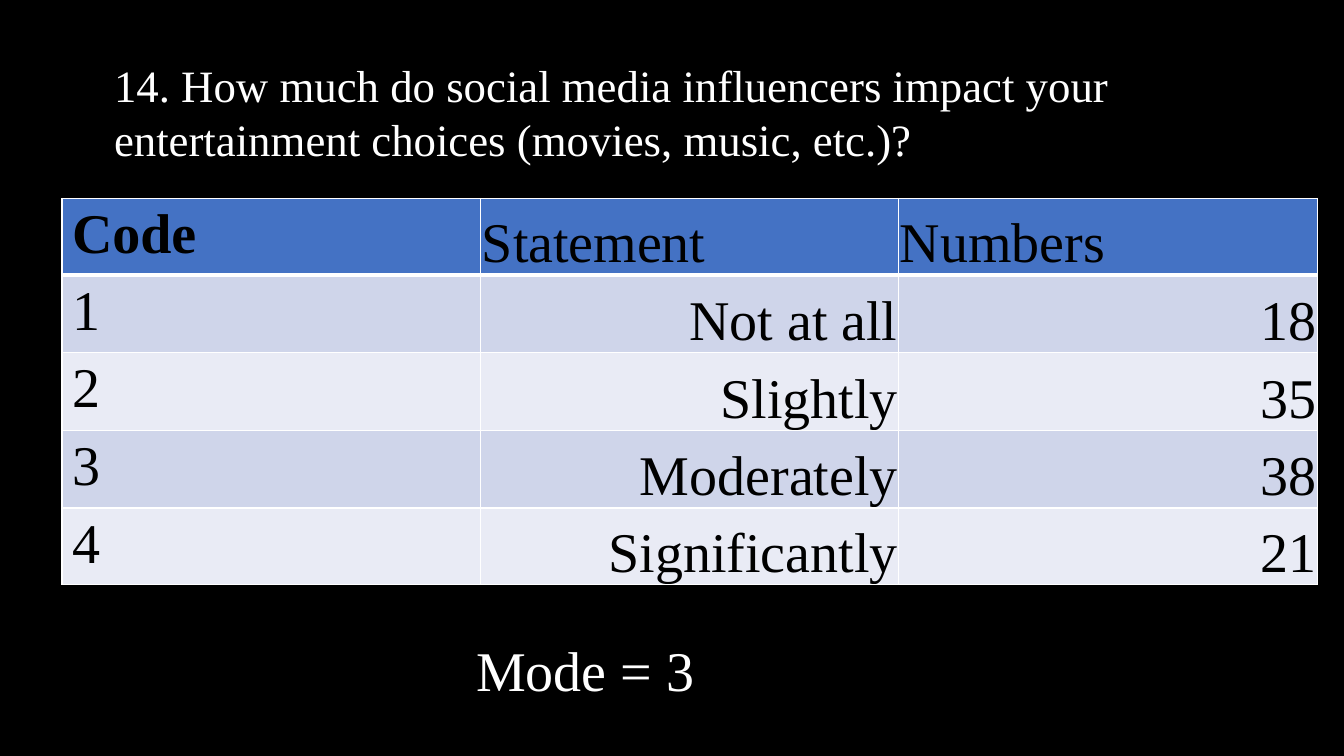
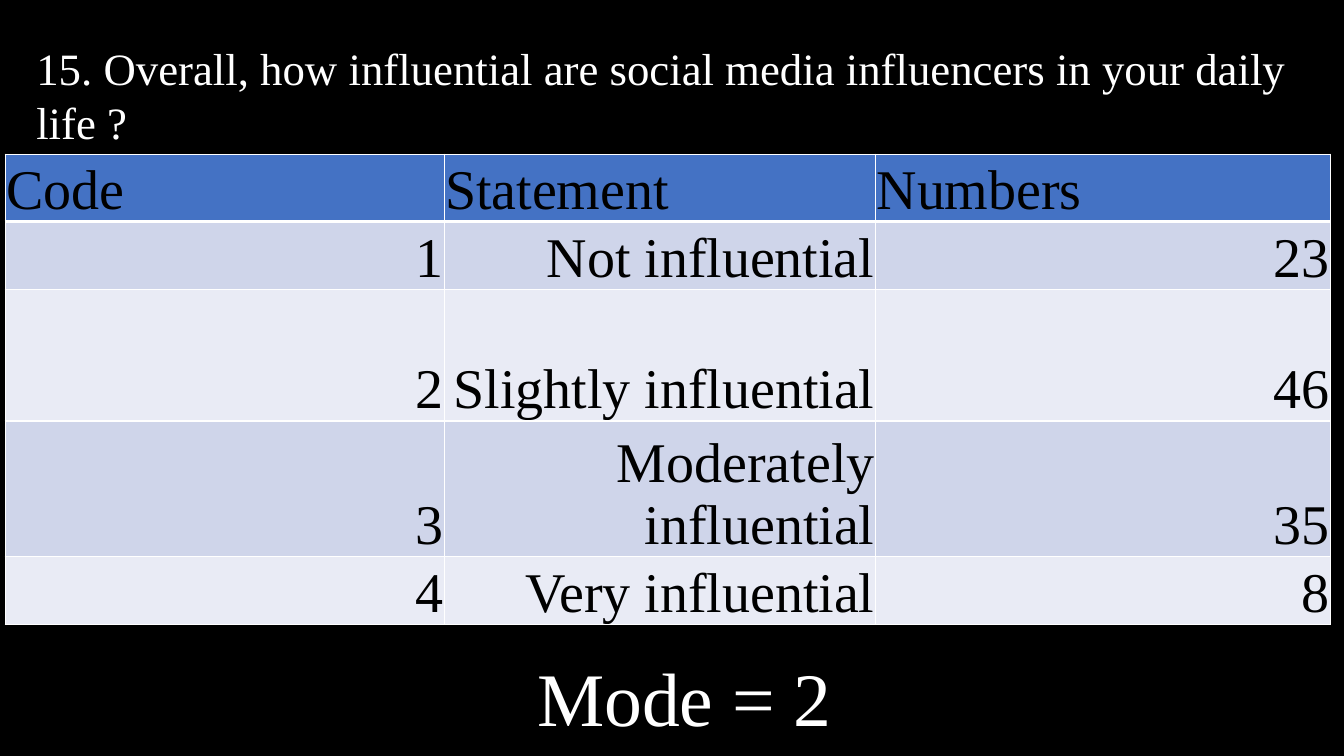
from collections import namedtuple
from dataclasses import dataclass

from lxml import etree
from pptx import Presentation
from pptx import util as u
from pptx.dml import color
from pptx.enum import text
from pptx.oxml import ns

PX = 9525
Box = namedtuple("Box", "left top width height")


@dataclass(frozen=True)
class Theme:
    font: str = "Times New Roman"
    background: str = "000000"
    light: str = "FFFFFF"
    dark: str = "000000"
    header: str = "4472C4"
    bands: tuple = ("CFD5EA", "E9EBF5")
    question_size: int = 32
    table_size: int = 40
    rule: int = 1
    header_rule: int = 3


THEME = Theme()
HEADINGS = ("Code", "Statement", "Numbers")

SURVEY = [
    dict(
        question="14. How much do social media influencers impact your "
                 "entertainment choices (movies, music, etc.)?",
        question_box=Box(99, 50, 1116, 113),
        answers=[("Not at all", 18), ("Slightly", 35),
                 ("Moderately", 38), ("Significantly", 21)],
        table_at=(59, 189),
        columns=(399, 398, 399),
        rows=(73, 74, 74, 74, 73),
        padded_codes=True,
        mode="Mode = 3",
        mode_box=Box(444, 601, 257, 74),
        mode_size=40,
    ),
    dict(
        question="15. Overall, how influential are social media influencers "
                 "in your daily life ?",
        question_box=Box(25, 34, 1230, 113),
        answers=[("Not influential", 23), ("Slightly influential", 46),
                 ("Moderately influential", 35), ("Very influential", 8)],
        table_at=(5, 147),
        columns=(418, 411, 433),
        rows=(64, 65, 125, 129, 65),
        padded_codes=False,
        mode="Mode = 2",
        mode_box=Box(502, 615, 500, 97),
        mode_size=54,
    ),
]


def emu(box):
    return [length * PX for length in box]


def rgb(code):
    return color.RGBColor.from_string(code)


def write(frame, wording, size, ink, align=text.PP_ALIGN.LEFT, bold=False):
    frame.text = wording
    line = frame.paragraphs[0]
    line.alignment = align
    for run in line.runs:
        run.font.name = THEME.font
        run.font.size = u.Pt(size)
        run.font.bold = bold
        run.font.color.rgb = rgb(ink)


def add_question(slide, box, wording):
    question = slide.shapes.title
    question.left, question.top, question.width, question.height = emu(box)
    frame = question.text_frame
    frame.word_wrap = True
    frame.auto_size = text.MSO_AUTO_SIZE.NONE
    frame.vertical_anchor = text.MSO_ANCHOR.TOP
    write(frame, wording, THEME.question_size, THEME.light)


def add_mode(slide, box, wording, size):
    frame = slide.shapes.add_textbox(*emu(box)).text_frame
    frame.word_wrap = True
    write(frame, wording, size, THEME.light)


def rule_cell(cell, row):
    widths = {
        "lnL": THEME.rule,
        "lnR": THEME.rule,
        "lnT": THEME.header_rule if row == 1 else THEME.rule,
        "lnB": THEME.header_rule if row == 0 else THEME.rule,
    }
    properties = cell._tc.get_or_add_tcPr()
    for side, width in widths.items():
        edge = etree.SubElement(properties, ns.qn("a:" + side), w=str(u.Pt(width)))
        fill = etree.SubElement(edge, ns.qn("a:solidFill"))
        etree.SubElement(fill, ns.qn("a:srgbClr"), val=THEME.light)


def format_cell(cell, wording, row, padded):
    rule_cell(cell, row)
    cell.fill.solid()
    cell.fill.fore_color.rgb = rgb(THEME.bands[(row - 1) % 2] if row else THEME.header)
    if padded:
        cell.vertical_anchor = text.MSO_ANCHOR.TOP
    else:
        cell.vertical_anchor = text.MSO_ANCHOR.BOTTOM
        cell.margin_left = cell.margin_right = cell.margin_top = PX
        cell.margin_bottom = 0
    align = text.PP_ALIGN.RIGHT if row and not padded else text.PP_ALIGN.LEFT
    write(cell.text_frame, wording, THEME.table_size, THEME.dark, align,
          bold=padded and row == 0)


def add_answers(slide, box, answers, columns, rows, padded_codes):
    records = [HEADINGS] + [(code, *answer) for code, answer in enumerate(answers, 1)]
    table = slide.shapes.add_table(len(rows), len(columns), *emu(box)).table
    table.horz_banding = False
    for column, width in zip(table.columns, columns):
        column.width = width * PX
    for row, (height, record) in enumerate(zip(rows, records)):
        table.rows[row].height = height * PX
        for column, entry in enumerate(record):
            format_cell(table.cell(row, column), str(entry), row,
                        padded_codes and column == 0)


def add_survey_slide(deck, item):
    slide = deck.slides.add_slide(deck.slide_layouts.get_by_name("Title Only"))
    add_question(slide, item["question_box"], item["question"])
    answers_box = Box(*item["table_at"], sum(item["columns"]), sum(item["rows"]))
    add_answers(slide, answers_box, item["answers"], item["columns"],
                item["rows"], item["padded_codes"])
    add_mode(slide, item["mode_box"], item["mode"], item["mode_size"])


def main():
    deck = Presentation()
    deck.slide_width, deck.slide_height = 1280 * PX, 720 * PX
    backdrop = deck.slide_master.background.fill
    backdrop.solid()
    backdrop.fore_color.rgb = rgb(THEME.background)
    for item in SURVEY:
        add_survey_slide(deck, item)
    deck.save("out.pptx")


if __name__ == "__main__":
    main()
